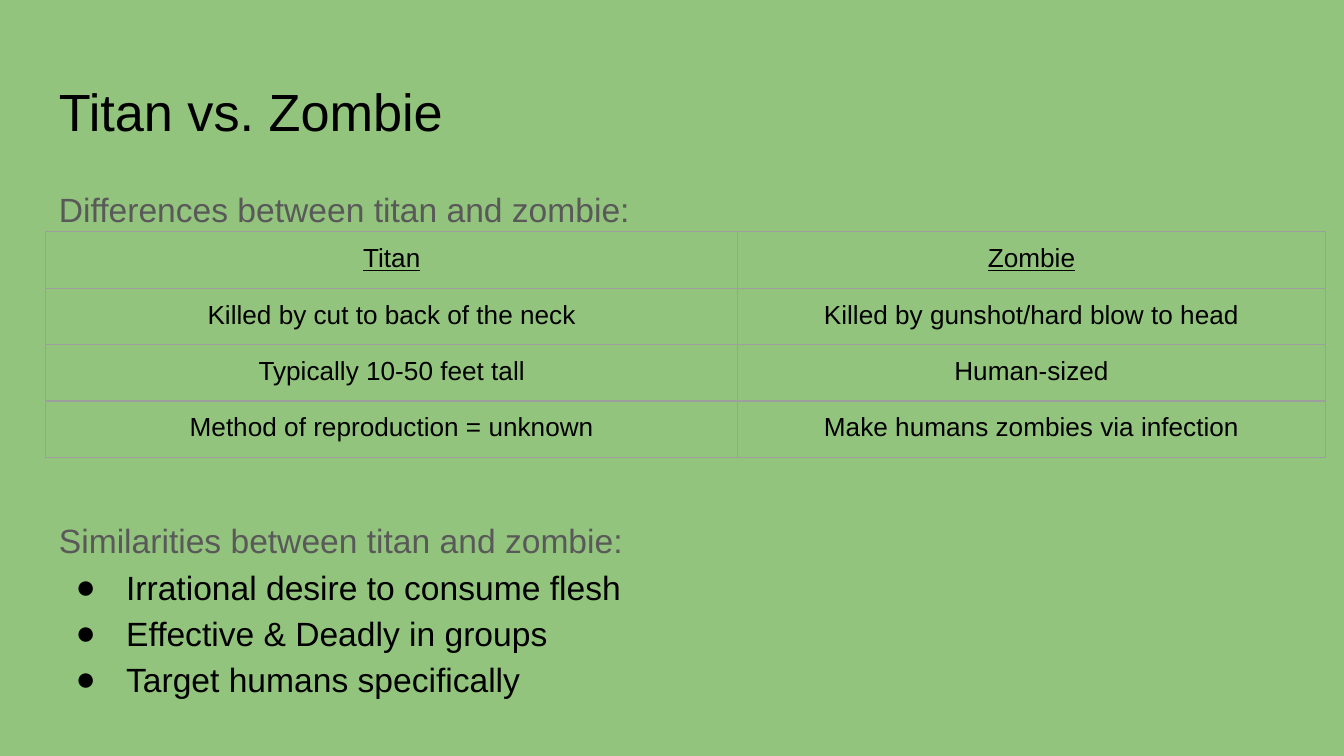
import dataclasses
import typing

import pptx
import pptx.dml.color
import pptx.enum.text
import pptx.oxml
import pptx.oxml.ns
import pptx.util

EMU = 4572  # one px is 1/200 inch
HEX = {"back": "93C47D", "ink": "000000", "muted": "595959", "rule": "9E9E9E"}


@dataclasses.dataclass
class Line:
    text: str
    size: int = 18
    ink: str = "ink"
    space: float = 1.15
    mark: bool = False


@dataclasses.dataclass
class Block:
    top: int
    high: int
    lines: list[Line]


BLOCKS = [
    Block(98, 126, [Line("Titan vs. Zombie", 28, space=1.0)]),
    Block(252, 450, [Line("Differences between titan and zombie:", ink="muted")]),
    Block(745, 450, [
        Line("Similarities between titan and zombie:", ink="muted"),
        Line("Irrational desire to consume flesh", mark=True),
        Line("Effective & Deadly in groups", mark=True),
        Line("Target humans specifically", mark=True),
    ]),
]
ROWS = [
    ("Titan", "Zombie"),
    ("Killed by cut to back of the neck", "Killed by gunshot/hard blow to head"),
    ("Typically 10-50 feet tall", "Human-sized"),
    ("Method of reproduction = unknown", "Make humans zombies via infection"),
]
LEFT, WIDE = 68, 1864
COLS = (1030, 874)
ROW = 84


def px(num: int) -> pptx.util.Emu:
    return pptx.util.Emu(num * EMU)


def tint(name: str) -> pptx.dml.color.RGBColor:
    return pptx.dml.color.RGBColor.from_string(HEX[name])


def apply(item: typing.Any, form: dict[str, typing.Any]) -> None:
    for key, val in form.items():
        setattr(item, key, val)


def inset(side: int, ends: int) -> dict[str, pptx.util.Emu]:
    return {"margin_left": px(side), "margin_right": px(side),
            "margin_top": px(ends), "margin_bottom": px(ends)}


def style(para: typing.Any, size: int, ink: str, under: bool = False) -> None:
    font = para.runs[0].font
    apply(font, {"name": "Arial", "size": pptx.util.Pt(size),
                 "bold": False, "underline": under})
    font.color.rgb = tint(ink)


def node(xml: str) -> typing.Any:
    head, tail = xml.split(" ", 1)
    return pptx.oxml.parse_xml(f"{head} {pptx.oxml.ns.nsdecls('a')} {tail}")


def bullet(para: typing.Any) -> None:
    props = para._p.get_or_add_pPr()
    props.set("marL", str(px(100)))
    props.set("indent", str(px(-75)))
    props.append(node(f'<a:buClr ><a:srgbClr val="{HEX["ink"]}"/></a:buClr>'))
    props.append(node('<a:buFont typeface="Arial"/>'))
    props.append(node('<a:buChar char="●"/>'))


def write(slide: typing.Any, block: Block) -> None:
    box = slide.shapes.add_textbox(px(LEFT), px(block.top), px(WIDE), px(block.high))
    frame = box.text_frame
    apply(frame, {"word_wrap": True, **inset(20, 20),
                  "vertical_anchor": pptx.enum.text.MSO_ANCHOR.TOP})
    for num, line in enumerate(block.lines):
        para = frame.add_paragraph() if num else frame.paragraphs[0]
        para.line_spacing = line.space
        if line.mark:
            bullet(para)
        para.add_run().text = line.text
        style(para, line.size, line.ink)


def border(cell: typing.Any) -> None:
    props = cell._tc.get_or_add_tcPr()
    for num, side in enumerate(("lnL", "lnR", "lnT", "lnB")):
        props.insert(num, node(
            f'<a:{side} w="{pptx.util.Pt(0.75)}"><a:solidFill>'
            f'<a:srgbClr val="{HEX["rule"]}"/></a:solidFill></a:{side}>'))


def grid(slide: typing.Any, left: int, top: int) -> None:
    shape = slide.shapes.add_table(len(ROWS), len(COLS), px(left), px(top),
                                   px(sum(COLS)), px(ROW * len(ROWS)))
    table = shape.table
    apply(table, {"first_row": False, "horz_banding": False})
    for col, wide in zip(table.columns, COLS):
        col.width = px(wide)
    for num, (row, texts) in enumerate(zip(table.rows, ROWS)):
        row.height = px(ROW)
        for cell, text in zip(row.cells, texts):
            cell.text = text
            cell.fill.background()
            apply(cell, inset(20, 18))
            para = cell.text_frame.paragraphs[0]
            para.alignment = pptx.enum.text.PP_ALIGN.CENTER
            style(para, 14, "ink", under=num == 0)
            border(cell)


def main() -> None:
    deck = pptx.Presentation()
    apply(deck, {"slide_width": px(2000), "slide_height": px(1125)})
    slide = deck.slides.add_slide(deck.slide_layouts[6])

    # Background
    fill = slide.background.fill
    fill.solid()
    fill.fore_color.rgb = tint("back")

    # Title and text
    for block in BLOCKS:
        write(slide, block)

    # Comparison table
    grid(slide, LEFT, 345)
    deck.save("out.pptx")


if __name__ == "__main__":
    main()
